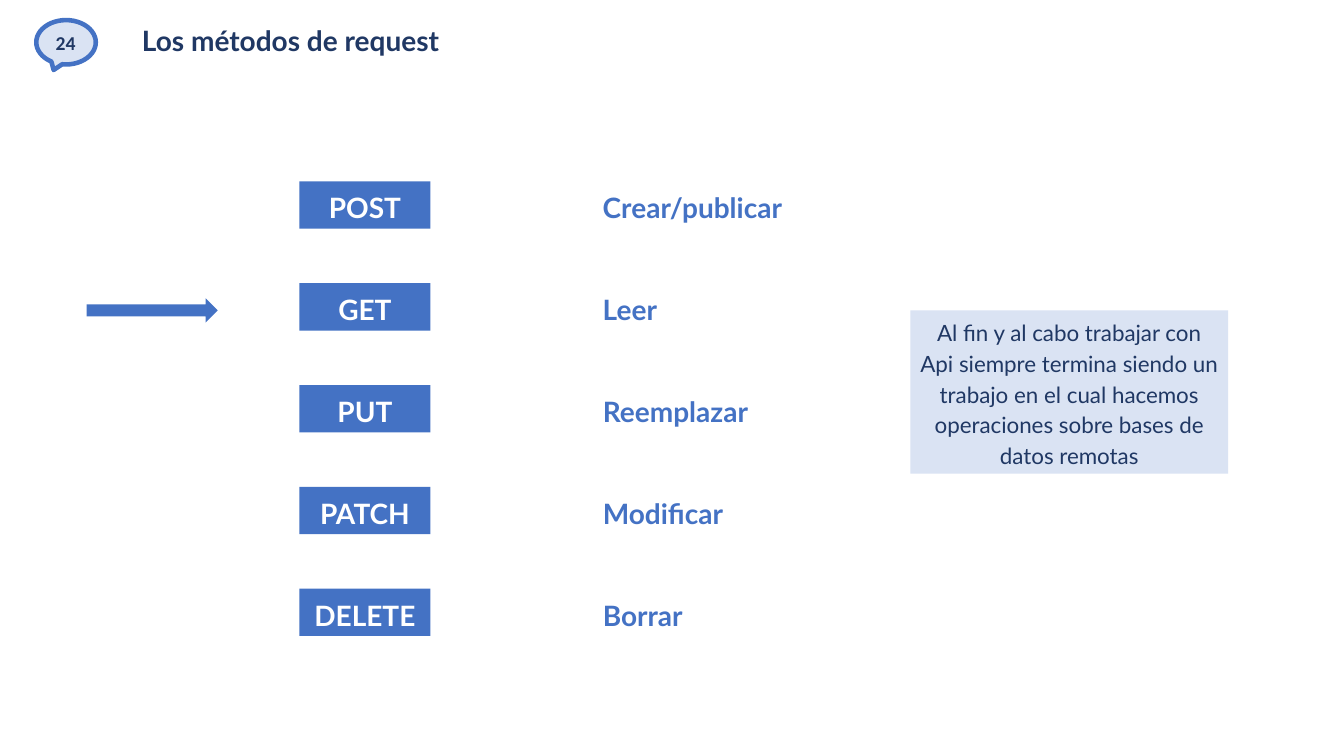
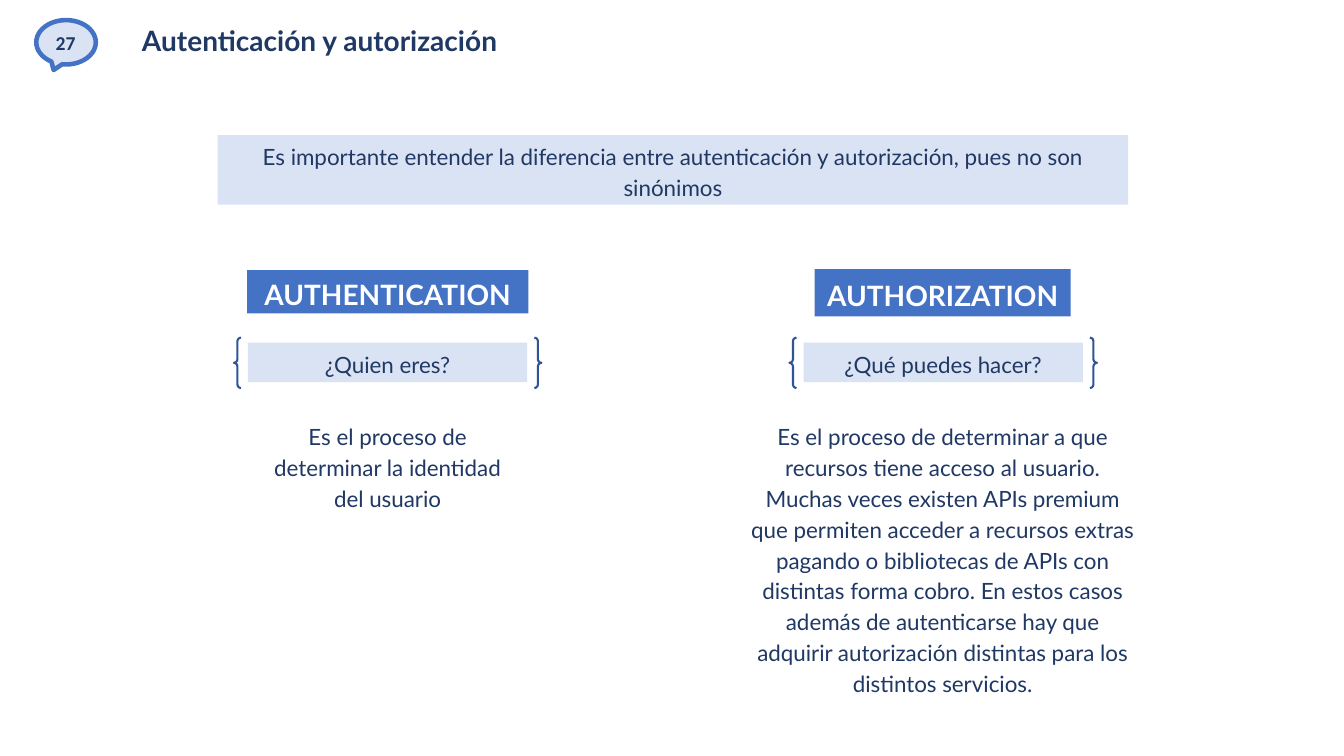
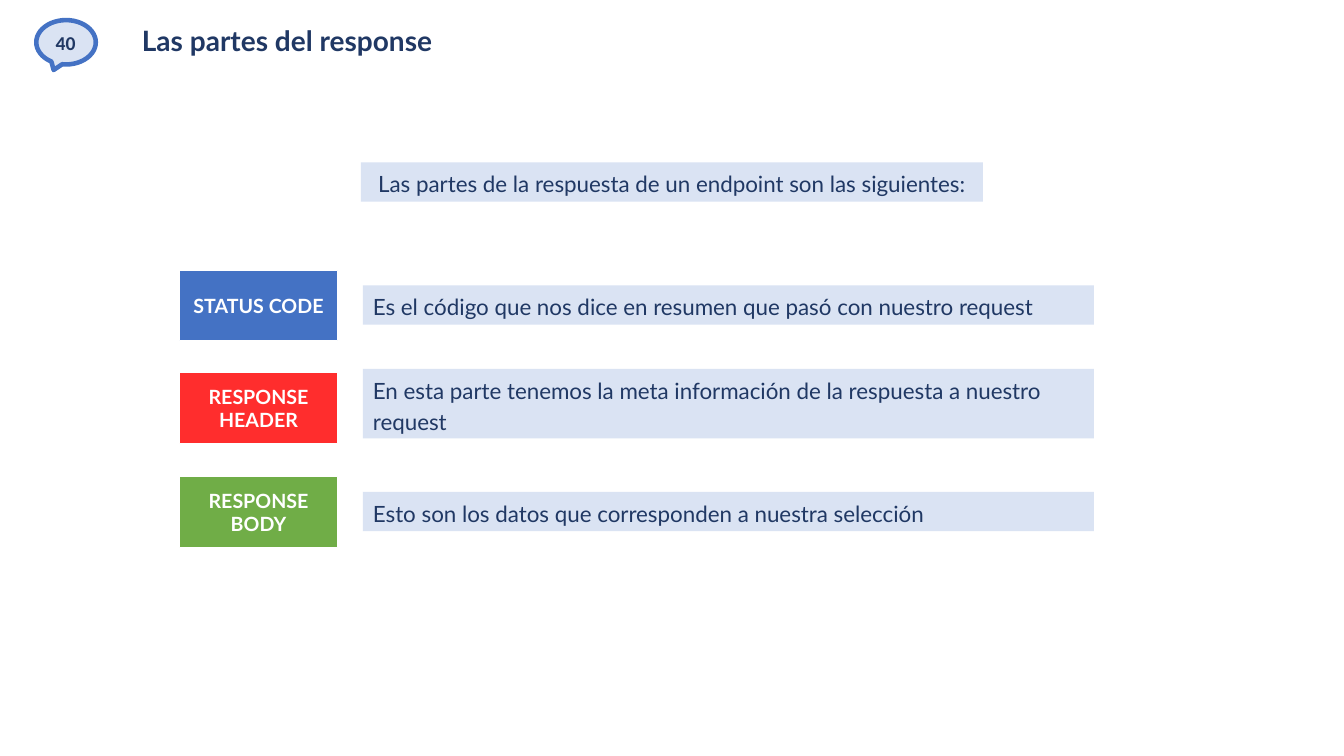
import pptx
import pptx.util
import pptx.dml.color
import pptx.enum.shapes
import pptx.enum.text

SCALE = 9144
NAVY, BLUE, PALE, EDGE = "203864", "4472C4", "DAE3F3", "2F5597"
WHITE, RED, GREEN = "FFFFFF", "FF2D2D", "70AD47"
SHAPE = pptx.enum.shapes.MSO_SHAPE
ALIGN = pptx.enum.text.PP_ALIGN
ANCHOR = pptx.enum.text.MSO_ANCHOR
FIT = pptx.enum.text.MSO_AUTO_SIZE

VERBS = [
    ("POST", "Crear/publicar", 260),
    ("GET", "Leer", 130),
    ("PUT", "Reemplazar", 315),
    ("PATCH", "Modificar", 315),
    ("DELETE", "Borrar", 315),
]
REMOTE = ("Al fin y al cabo trabajar con Api siempre termina siendo un trabajo "
          "en el cual hacemos operaciones sobre bases de datos remotas")

DIFFER = ("Es importante entender la diferencia entre autenticación y "
          "autorización, pues no son sinónimos")
TERMS = [
    {"mid": 384, "name": "AUTHENTICATION", "head": (268, 279, 43),
     "ask": "¿Quien eres?", "body": (277, 100),
     "text": "Es el proceso de determinar la identidad del usuario"},
    {"mid": 935, "name": "AUTHORIZATION", "head": (267, 254, 47),
     "ask": "¿Qué puedes hacer?", "body": (406, 286),
     "text": "Es el proceso de determinar a que recursos tiene acceso al "
             "usuario. Muchas veces existen APIs premium que permiten acceder "
             "a recursos extras pagando o bibliotecas de APIs con distintas "
             "forma cobro. En estos casos además de autenticarse hay que "
             "adquirir autorización distintas para los distintos servicios."},
]

INTRO = "Las partes de la respuesta de un endpoint son las siguientes:"
PARTS = [
    ("STATUS CODE", BLUE, 283, 39,
     "Es el código que nos dice en resumen que pasó con nuestro request"),
    ("RESPONSE HEADER", RED, 366, 69,
     "En esta parte tenemos la meta información de la respuesta a nuestro request"),
    ("RESPONSE BODY", GREEN, 488, 39,
     "Esto son los datos que corresponden a nuestra selección"),
]


def color(code):
    return pptx.dml.color.RGBColor.from_string(code)


def place(box):
    return [pptx.util.Emu(n * SCALE) for n in box]


def draw(slide, kind, box, fill=None, line=None, width=1):
    shape = slide.shapes.add_shape(kind, *place(box))
    shape.shadow.inherit = False
    if fill:
        shape.fill.solid()
        shape.fill.fore_color.rgb = color(fill)
    else:
        shape.fill.background()
    if line:
        shape.line.color.rgb = color(line)
        shape.line.width = pptx.util.Pt(width)
    else:
        shape.line.fill.background()
    return shape


def write(slide, box, words, fill=None, line=None, size=16, ink=NAVY,
          bold=False, font="Lato", align=ALIGN.CENTER, anchor=ANCHOR.MIDDLE,
          lead=1.15, after=10, fit=FIT.SHAPE_TO_FIT_TEXT):
    if fill:
        shape = draw(slide, SHAPE.RECTANGLE, box, fill, line, 0.75)
    else:
        shape = slide.shapes.add_textbox(*place(box))
    frame = shape.text_frame
    frame.word_wrap = True
    frame.auto_size = fit
    frame.vertical_anchor = anchor
    para = frame.paragraphs[0]
    para.alignment = align
    para.line_spacing = lead
    para.space_after = pptx.util.Pt(after)
    run = para.add_run()
    run.text = words
    run.font.name = font
    run.font.size = pptx.util.Pt(size)
    run.font.bold = bold
    run.font.color.rgb = color(ink)


PLAIN = {"lead": 1, "after": 0, "fit": FIT.NONE, "bold": True}
HEAD = {"fill": BLUE, "ink": WHITE, "size": 20, "bold": True}


def start(deck, number, title):
    slide = deck.slides.add_slide(deck.slide_layouts[6])
    draw(slide, SHAPE.OVAL_CALLOUT, (36, 20, 59, 44), PALE, BLUE, 3.25)
    write(slide, (24, 17, 82, 50), number, size=14, font="Calibri", **PLAIN)
    write(slide, (131, 22, 1077, 42), title, size=20, align=ALIGN.LEFT,
          **{**PLAIN, "lead": 0.85})
    return slide


def methods(deck):
    slide = start(deck, "24", "Los métodos de request")
    for row, (verb, sense, wide) in enumerate(VERBS):
        top = 180 + row * 101
        write(slide, (297, top, 130, 47), verb, **HEAD)
        write(slide, (588, top, wide, 47), sense, size=20, ink=BLUE,
              bold=True, align=ALIGN.LEFT)
    draw(slide, SHAPE.RIGHT_ARROW, (86, 296, 130, 24), BLUE)
    write(slide, (903, 308, 315, 162), REMOTE, fill=PALE)


def access(deck):
    slide = start(deck, "27", "Autenticación y autorización")
    write(slide, (216, 134, 903, 69), DIFFER, fill=PALE)
    for term in TERMS:
        def spot(top, wide, high):
            return term["mid"] - wide // 2, top, wide, high

        write(slide, spot(*term["head"]), term["name"], **HEAD)
        write(slide, spot(340, 277, 39), term["ask"], fill=PALE)
        brace = draw(slide, SHAPE.DOUBLE_BRACE, spot(335, 305, 50),
                     line=EDGE, width=1.5)
        brace.adjustments[0] = 0.07
        write(slide, spot(411, *term["body"]), term["text"], anchor=ANCHOR.TOP)


def response(deck):
    slide = start(deck, "40", "Las partes del response")
    write(slide, (358, 161, 617, 39), INTRO, fill=PALE)
    for row, (name, tint, top, high, note) in enumerate(PARTS):
        write(slide, (178, 268 + row * 205 // 2, 157, 70), name, fill=tint,
              line=WHITE, size=14, ink=WHITE, **PLAIN)
        write(slide, (360, top, 725, high), note, fill=PALE, align=ALIGN.LEFT)


def main():
    deck = pptx.Presentation()
    deck.slide_width, deck.slide_height = place((1333, 750))
    for build in (methods, access, response):
        build(deck)
    deck.save("out.pptx")


if __name__ == "__main__":
    main()
